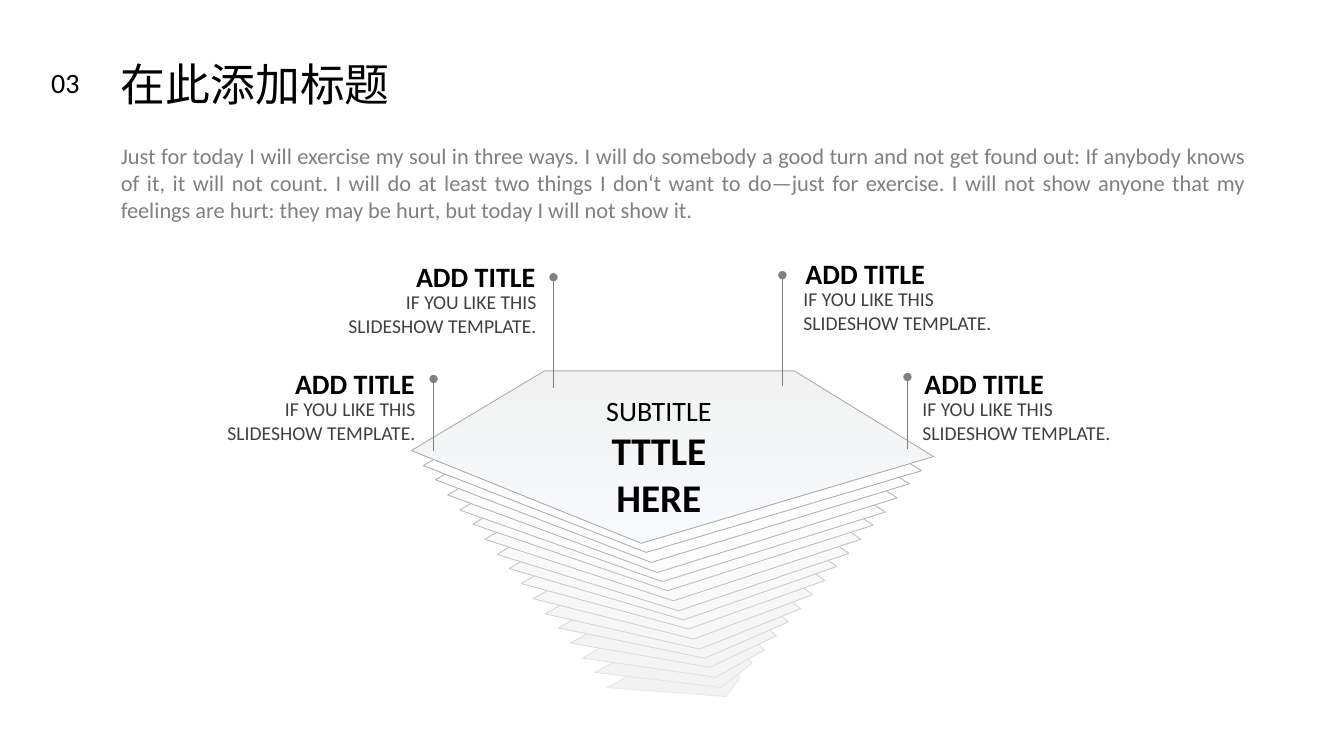
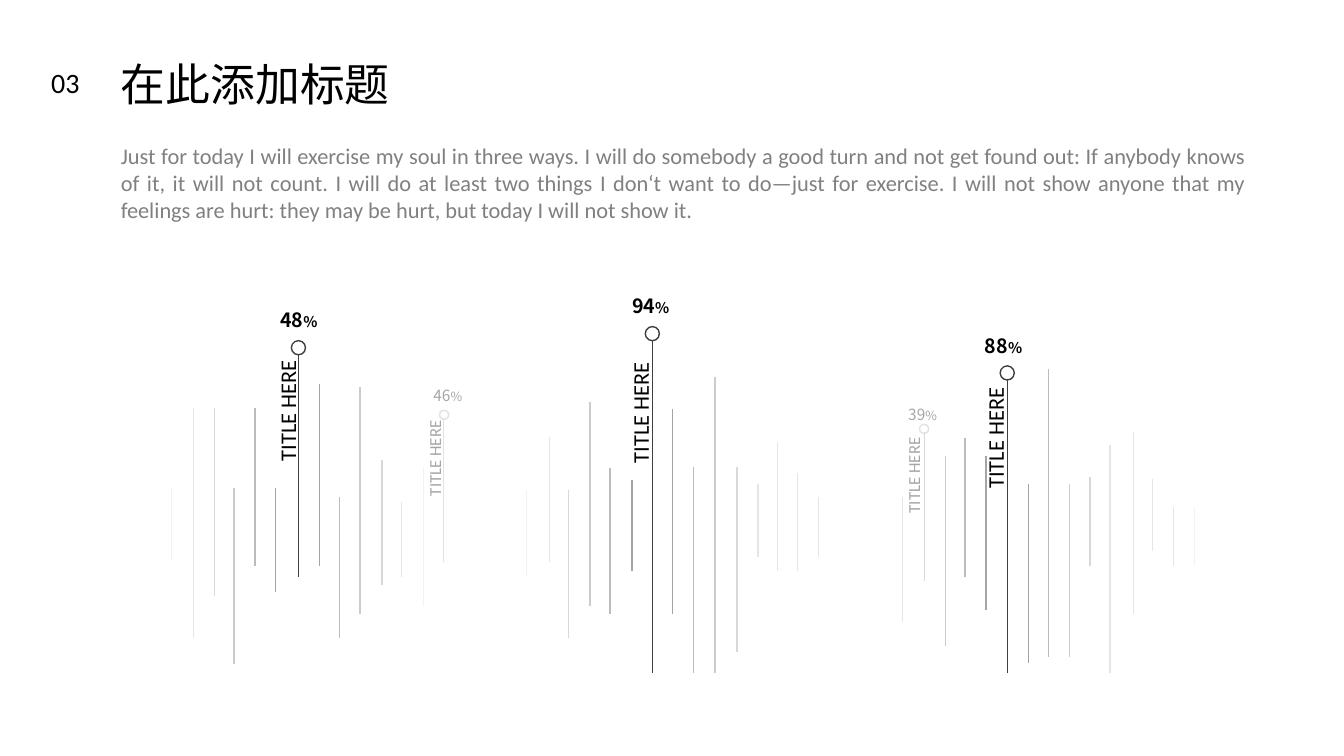
"""Build two slides: a layered polygon with callouts, and three fields of marked stems."""
from lxml import etree
from pptx import Presentation, util as u
from pptx.dml.color import RGBColor
from pptx.enum import shapes, text
from pptx.oxml.ns import qn

PX = 9144
INK, GREY, DARK, PALE = "000000", "808080", "404040", "A6A6A6"
SANS, CJK = "Calibri", "Noto Sans CJK SC"
LEFT, RIGHT = text.PP_ALIGN.LEFT, text.PP_ALIGN.RIGHT
MID, FULL = text.PP_ALIGN.CENTER, text.PP_ALIGN.JUSTIFY


def hue(code):
    return RGBColor.from_string(code)


def put(page, words, x, y, w, h, size=20, color=INK, bold=False, font=SANS,
        align=LEFT, wrap=False, turn=0, unit="", small=9):
    box = page.shapes.add_textbox(x * PX, y * PX, w * PX, h * PX)
    box.rotation = turn
    frame = box.text_frame
    frame.word_wrap = wrap
    frame.auto_size = text.MSO_AUTO_SIZE.SHAPE_TO_FIT_TEXT
    for n, row in enumerate(words.split("\n")):
        para = frame.add_paragraph() if n else frame.paragraphs[0]
        para.alignment = align
        for part, pts in ((row, size), (unit, small)):
            if part:
                run = para.add_run()
                run.text = part
                run.font.size = u.Pt(pts)
                run.font.name = font
                run.font.bold = bold
                run.font.color.rgb = hue(color)
    return frame


deck = Presentation()
deck.slide_width, deck.slide_height = 1333 * PX, 750 * PX
intro = ("Just for today I will exercise my soul in three ways. I will do somebody a good turn "
         "and not get found out: If anybody knows of it, it will not count. I will do at least "
         "two things I don‘t want to do—just for exercise. I will not show anyone that my "
         "feelings are hurt: they may be hurt, but today I will not show it.")
pages = [deck.slides.add_slide(deck.slide_layouts[6]) for _ in range(2)]
for page in pages:
    put(page, "03", 41, 60, 49, 44)
    put(page, "在此添加标题", 110, 51, 289, 64, size=32)
    put(page, intro, 110, 136, 1136, 91, size=16, color=GREY, align=FULL, wrap=True)
stack, field = pages

base = [(720, 691), (734, 672), (724, 652), (626, 669), (602, 682)]
crown = [(636, 539), (926, 453), (788, 368), (540, 368), (408, 447)]
top = 16
for n in range(top + 1):
    dots = [tuple(round(a + (b - a) * n / top) for a, b in zip(p, q))
            for p, q in zip(base, crown)]
    pen = stack.shapes.build_freeform(*dots[0], scale=PX)
    pen.add_line_segments(dots[1:], close=True)
    sheet = pen.convert_to_shape()
    sheet.shadow.inherit = False
    if n == top:
        sheet.fill.gradient()
        sheet.fill.gradient_angle = 270
        for stop, code in zip(sheet.fill.gradient_stops, ("F2F2F2", "F7FAFD")):
            stop.color.rgb = hue(code)
        for stop, spot in zip(sheet.fill.gradient_stops, (0, 1)):
            stop.position = spot
    else:
        sheet.fill.solid()
        sheet.fill.fore_color.rgb = hue(f"{round(242 + 12 * n / 15):02X}" * 3)
    sheet.line.color.rgb = hue(f"{round(232 - 62 * n / top):02X}" * 3)
    sheet.line.width = u.Pt(0.63)

core = put(stack, "SUBTITLE\nTTTLE\nHERE", 552, 385, 203, 91, size=28, bold=True, align=MID)
core.paragraphs[0].runs[0].font.size = u.Pt(20)
core.paragraphs[0].runs[0].font.bold = False

notes = [(907, 359, LEFT), (789, 250, LEFT), (376, 253, RIGHT), (256, 359, RIGHT)]
for x, y, side in notes:
    put(stack, "ADD TITLE", x, y, 165, 44, bold=True, align=side, wrap=True)
    put(stack, "IF YOU LIKE THIS SLIDESHOW TEMPLATE.", x - (2 if side == LEFT else 59), y + 30,
        225, 57, size=14, color=DARK, align=side, wrap=True)

leads = {GREY: [(900, 445, 374), (776, 383, 273), (549, 385, 275), (430, 447, 376)]}
stems = {
    "F2F2F2": [(170, 484, 556), (420, 464, 601), (522, 486, 572), (1185, 504, 562)],
    "E5E5E5": [(192, 405, 633), (398, 498, 572), (545, 434, 558), (752, 480, 553),
               (771, 439, 566), (791, 469, 566), (812, 493, 553), (895, 493, 617),
               (1101, 441, 668), (1124, 429, 609), (1143, 475, 547), (1164, 503, 562)],
    "E2E2E2": [(440, 416, 558)],
    "D8D8D8": [(213, 405, 591), (379, 456, 580), (564, 486, 633), (731, 463, 647),
               (1081, 473, 562), (917, 429, 576)],
    "CCCCCC": [(232, 484, 659), (357, 384, 609), (585, 399, 601), (709, 374, 668),
               (938, 452, 641), (1061, 480, 652)],
    "BCBCBC": [(253, 405, 562), (337, 493, 633), (605, 464, 609), (688, 463, 668),
               (957, 435, 572), (1040, 366, 652)],
    "A5A5A5": [(273, 484, 587), (317, 381, 562), (627, 476, 566), (667, 406, 609),
               (978, 452, 605), (1020, 480, 658)],
    "3F3F3F": [(296, 351, 572), (647, 338, 668), (999, 377, 668)],
}
for page, group, wide, tip in ((stack, leads, 0.5, True), (field, stems, 1, False)):
    for shade, rows in group.items():
        for x, start, end in rows:
            rod = page.shapes.add_connector(shapes.MSO_CONNECTOR.STRAIGHT,
                                            x * PX, start * PX, x * PX, end * PX)
            rod.line.color.rgb = hue(shade)
            rod.line.width = u.Pt(wide)
            if tip:
                etree.SubElement(rod.line._get_or_add_ln(), qn("a:tailEnd"), type="oval")
            etree.SubElement(rod._element.spPr, qn("a:effectLst"))

big = dict(ring=14, edge="3F3F3F", color=INK, bold=True, size=14, small=10.5,
           num=(58, 34), tag=(122, 37), pts=16)
low = dict(ring=9, edge="E2E2E2", color=PALE, bold=False, size=11, small=9,
           num=(50, 29), tag=(96, 30), pts=12)
pins = [
    (big, "48", (289, 338), (268, 301), (224, 388)),
    (big, "94", (640, 324), (617, 287), (574, 390)),
    (big, "88", (992, 363), (967, 326), (926, 415)),
    (low, "39", (912, 421), (891, 397), (858, 456)),
    (low, "46", (436, 407), (420, 378), (383, 439)),
]
for kind, share, spot, head, side in pins:
    wide = kind["ring"] * PX
    ring = field.shapes.add_shape(shapes.MSO_SHAPE.OVAL, spot[0] * PX, spot[1] * PX, wide, wide)
    ring.shadow.inherit = False
    ring.fill.background()
    ring.line.color.rgb = hue(kind["edge"])
    ring.line.width = u.Pt(1)
    put(field, share, *head, *kind["num"], size=kind["size"], color=kind["color"],
        bold=kind["bold"], font=CJK, unit="%", small=kind["small"])
    put(field, "TITLE HERE", *side, *kind["tag"], size=kind["pts"], color=kind["color"], turn=270)

deck.save("out.pptx")
